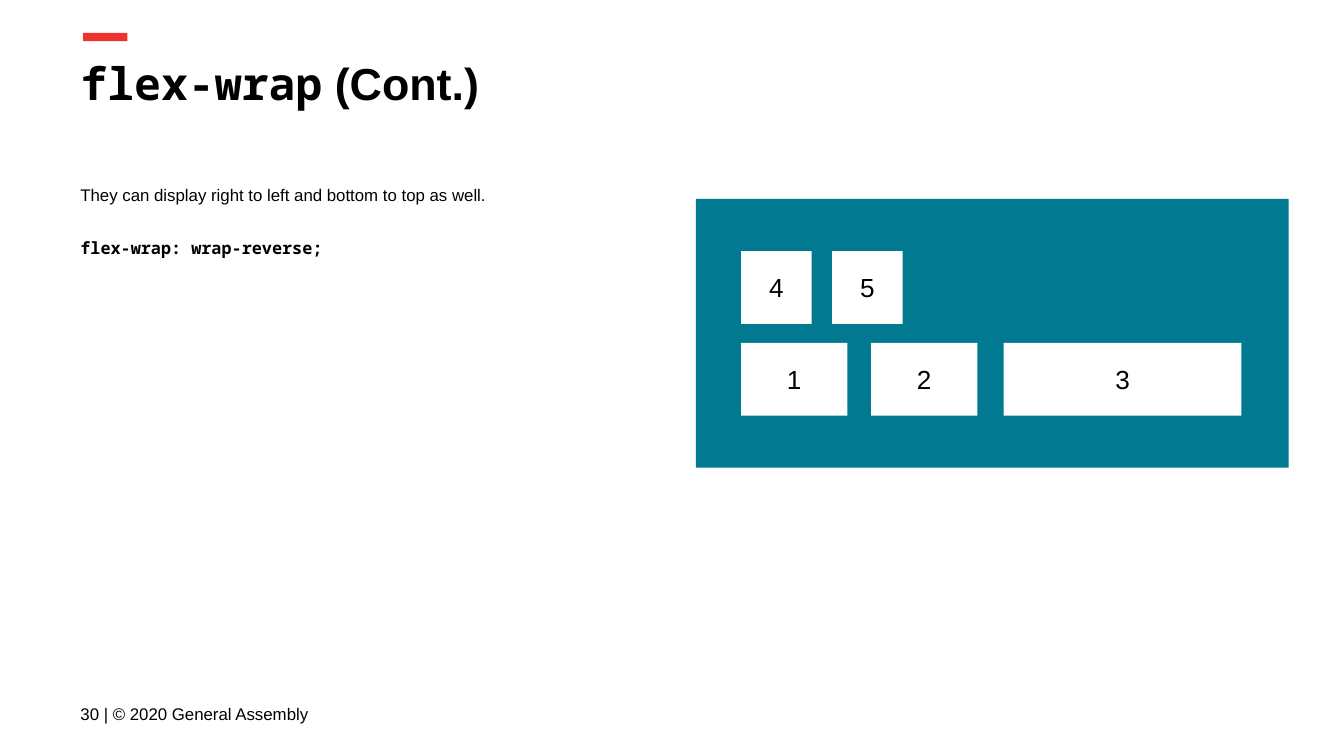
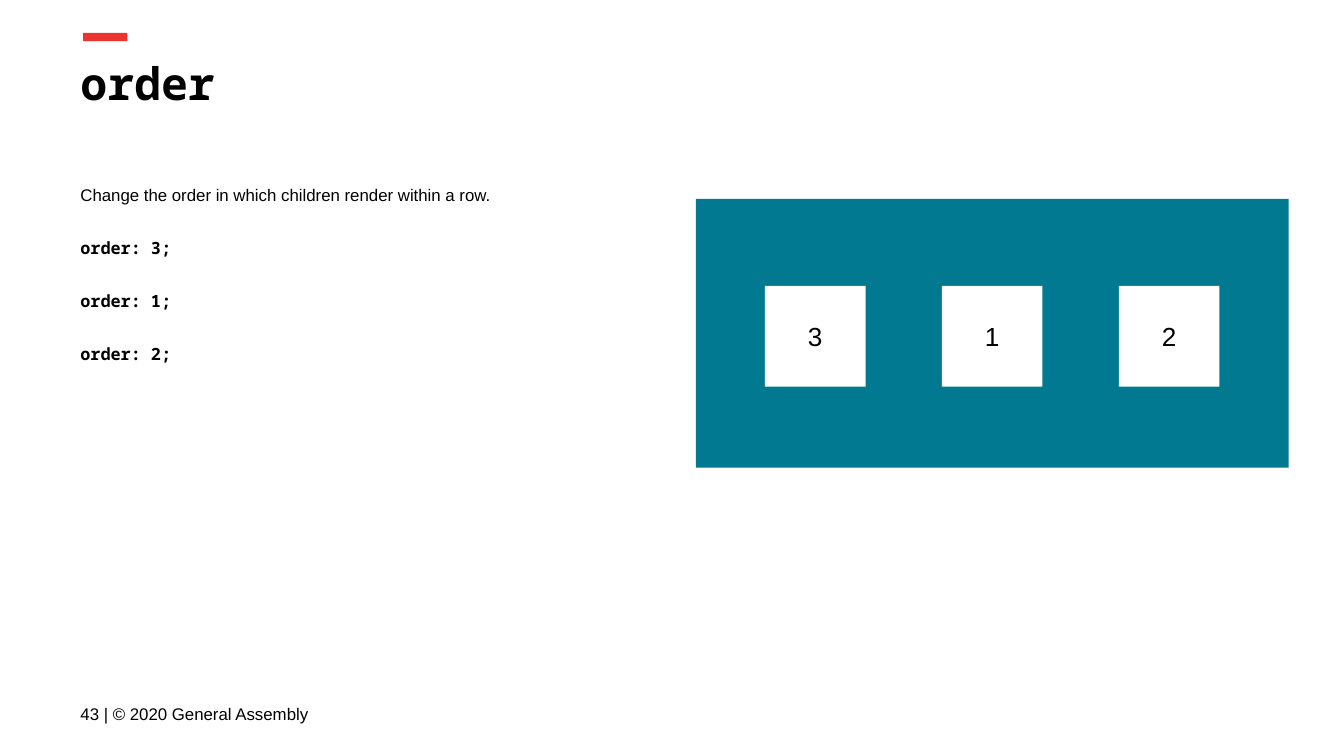
from pptx import Presentation
from pptx.dml.color import RGBColor
from pptx.enum.shapes import MSO_SHAPE as Shape
from pptx.enum.text import MSO_ANCHOR as Anchor, PP_ALIGN as Align
from pptx.util import Pt

RED = RGBColor(0xED, 0x33, 0x2F)
TEAL = RGBColor(0x01, 0x79, 0x91)
WHITE = RGBColor(0xFF, 0xFF, 0xFF)
BLACK = RGBColor(0x00, 0x00, 0x00)
SANS, MONO = "Arial", "Noto Sans Mono"

# Areas and tiles are left, top, width, height in points.
ACCENT = (44.5, 17.6, 23.8, 4.4)
TITLE = (36, 22.5, 671, 45)
BODY = (36, 90, 324, 231)
FOOTER = (36, 367, 186.5, 31)
PANEL = (372.8, 106.6, 317.5, 144)

LOWER_TOP, UPPER_TOP, ROW_HEIGHT = 183.7, 134.5, 39
ORDER_SIZE, ORDER_STEP, ORDER_TOP = 53.9, 94.8, 153.2
ORDER_LEFT = PANEL[0] + (PANEL[2] - 2 * ORDER_STEP - ORDER_SIZE) / 2

SLIDES = [
    {
        "number": 30,
        "title": [("flex-wrap", MONO), (" (Cont.)", SANS)],
        "lead": "They can display right to left and bottom to top as well.",
        "code": ["flex-wrap: wrap-reverse;"],
        "tiles": [
            ("1", (397, LOWER_TOP, 57, ROW_HEIGHT)),
            ("2", (466.6, LOWER_TOP, 57, ROW_HEIGHT)),
            ("3", (537.7, LOWER_TOP, 127.3, ROW_HEIGHT)),
            ("4", (397, UPPER_TOP, 37.8, ROW_HEIGHT)),
            ("5", (445.8, UPPER_TOP, 37.8, ROW_HEIGHT)),
        ],
    },
    {
        "number": 43,
        "title": [("order", MONO)],
        "lead": "Change the order in which children render within a row.",
        "code": ["order: 3;", "order: 1;", "order: 2;"],
        "tiles": [
            (label, (ORDER_LEFT + i * ORDER_STEP, ORDER_TOP, ORDER_SIZE, ORDER_SIZE))
            for i, label in enumerate("312")
        ],
    },
]


def points(area):
    return [Pt(value) for value in area]


def prepare_frame(box, anchor):
    frame = box.text_frame
    frame.word_wrap = True
    frame.vertical_anchor = anchor
    frame.margin_left = frame.margin_right = Pt(7.2)
    frame.margin_top = frame.margin_bottom = Pt(7.2)
    return frame


def add_text_box(page, area, anchor=Anchor.TOP):
    return prepare_frame(page.shapes.add_textbox(*points(area)), anchor)


def add_rectangle(page, area, color):
    box = page.shapes.add_shape(Shape.RECTANGLE, *points(area))
    box.shadow.inherit = False
    box.fill.solid()
    box.fill.fore_color.rgb = color
    box.line.fill.background()
    return box


def add_span(para, text, size=9, font=SANS, bold=False):
    span = para.add_run()
    span.text = text
    span.font.size = Pt(size)
    span.font.name = font
    span.font.bold = bold
    span.font.color.rgb = BLACK


def add_body(page, lead, code):
    frame = add_text_box(page, BODY)
    para = frame.paragraphs[0]
    para.line_spacing = 1.15
    add_span(para, lead)
    for line in code:
        para = frame.add_paragraph()
        para.line_spacing = 1.15
        para.space_before = Pt(16)
        add_span(para, line, font=MONO, bold=True)
    para.space_after = Pt(16)


def add_tile(page, label, area):
    frame = prepare_frame(add_rectangle(page, area, WHITE), Anchor.MIDDLE)
    para = frame.paragraphs[0]
    para.alignment = Align.CENTER
    add_span(para, label, size=14)


def add_page(deck, content):
    page = deck.slides.add_slide(deck.slide_layouts[6])
    add_rectangle(page, ACCENT, RED)
    title = add_text_box(page, TITLE).paragraphs[0]
    for text, font in content["title"]:
        add_span(title, text, size=24, font=font, bold=True)
    add_body(page, content["lead"], content["code"])
    footer = add_text_box(page, FOOTER, Anchor.MIDDLE).paragraphs[0]
    add_span(footer, f"{content['number']} | © 2020 General Assembly")
    add_rectangle(page, PANEL, TEAL)
    for label, area in content["tiles"]:
        add_tile(page, label, area)


def main():
    deck = Presentation()
    deck.slide_width, deck.slide_height = Pt(720), Pt(405)
    for content in SLIDES:
        add_page(deck, content)
    deck.save("out.pptx")


if __name__ == "__main__":
    main()
